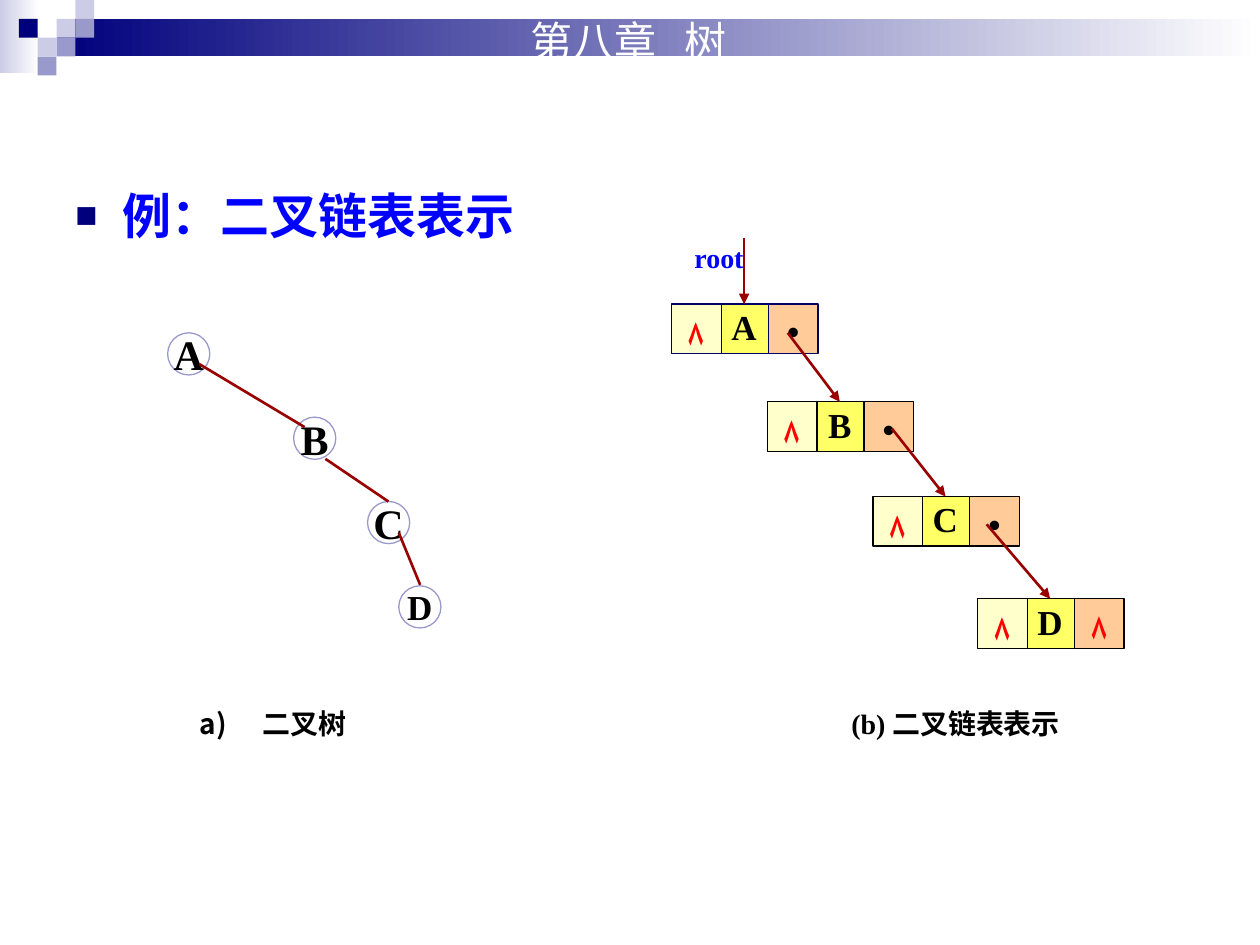
"""Build a slide showing a right-leaning binary tree and its linked-list storage."""
from dataclasses import dataclass

from lxml.etree import SubElement
from pptx import Presentation
from pptx.dml.color import RGBColor
from pptx.enum.shapes import MSO_CONNECTOR, MSO_SHAPE
from pptx.enum.text import MSO_ANCHOR, MSO_AUTO_SIZE, PP_ALIGN
from pptx.oxml import parse_xml
from pptx.oxml.ns import nsdecls, qn
from pptx.util import Cm, Pt


@dataclass(frozen=True)
class Theme:
    navy: str = "00007D"
    lilac: str = "9999CC"
    mist: str = "CCCCE6"
    white: str = "FFFFFF"
    black: str = "000000"
    blue: str = "0000FF"
    red: str = "FF0000"
    link: str = "990000"
    outline: str = "000066"
    left_cell: str = "FFFFCC"
    data_cell: str = "FFFF66"
    right_cell: str = "FFCC99"
    heading: int = 28
    title: int = 24
    cell: int = 20
    caption: int = 16
    serif: str = "Times New Roman"
    sans: str = "Arial"
    cjk: str = "Noto Sans CJK SC"


theme = Theme()
rgb = RGBColor.from_string


def write(sp, text, size, color=theme.black, font=theme.serif, bold=True,
          align=PP_ALIGN.CENTER, anchor=MSO_ANCHOR.TOP, wrap=True,
          left=0.25, top=0.13, hanging=0, marks=""):
    tf = sp.text_frame
    tf.auto_size, tf.word_wrap, tf.vertical_anchor = MSO_AUTO_SIZE.NONE, wrap, anchor
    tf.margin_left, tf.margin_top = Cm(left), Cm(top)
    tf.margin_right, tf.margin_bottom = Cm(0.25), Cm(0.13)
    p = tf.paragraphs[0]
    pPr = p._p.get_or_add_pPr()
    for el in list(parse_xml(f"<a:pPr {nsdecls('a')}>{marks}</a:pPr>")):
        pPr.append(el)
    if hanging:
        pPr.set("marL", str(Cm(hanging)))
        pPr.set("indent", str(-Cm(hanging)))
    p.alignment, p.space_before = align, Pt(0)
    r = p.add_run()
    r.text = text
    r.font.size, r.font.bold, r.font.name = Pt(size), bold, font
    r.font.color.rgb = rgb(color)
    for tag, face in (("a:ea", theme.cjk), ("a:cs", font)):
        SubElement(r._r.rPr, qn(tag)).set("typeface", face)


def link(x1, y1, x2, y2, target=None):
    cxn = s.shapes.add_connector(MSO_CONNECTOR.STRAIGHT, Cm(x1), Cm(y1), Cm(x2), Cm(y2))
    cxn.line.color.rgb, cxn.line.width = rgb(theme.link), Pt(1.5)
    if target is not None:
        cxn.end_connect(target, 0)
        SubElement(cxn.line._get_or_add_ln(), qn("a:tailEnd")).set("type", "triangle")
    SubElement(cxn._element.spPr, qn("a:effectLst"))


prs = Presentation()
prs.slide_width, prs.slide_height = Cm(25.4), Cm(19.05)
s = prs.slides.add_slide(prs.slide_layouts[1])
title, body = s.placeholders[0], s.placeholders[1]

bands = [(0, 0, 0.79, 1.47, theme.mist), (1.14, 0.38, 24.26, 0.76, theme.navy)]
for x, y, w, h, color in bands:
    sp = s.shapes.add_shape(MSO_SHAPE.RECTANGLE, Cm(x), Cm(y), Cm(w), Cm(h))
    sp.shadow.inherit = False
    sp.line.fill.background()
    sp.fill.gradient()
    sp.fill.gradient_angle = 0
    for stop, tone, position in zip(sp.fill.gradient_stops, (color, theme.white), (0, 1)):
        stop.color.rgb, stop.position = rgb(tone), position

tile = 0.38
tiles = [(3, 1, theme.mist), (4, 0, theme.mist), (4, 1, theme.lilac),
         (2, 2, theme.mist), (1, 1, theme.navy), (3, 2, theme.lilac),
         (2, 3, theme.lilac)]
for col, row, color in tiles:
    sp = s.shapes.add_shape(MSO_SHAPE.RECTANGLE, Cm(col * tile), Cm(row * tile),
                            Cm(tile), Cm(tile))
    sp.shadow.inherit = False
    sp.line.fill.background()
    sp.fill.solid()
    sp.fill.fore_color.rgb = rgb(color)

title.left, title.top, title.width, title.height = Cm(10.44), Cm(0.18), Cm(6.15), Cm(1.27)
write(title, "第八章\t树", theme.title, theme.white, theme.cjk, bold=False,
      align=PP_ALIGN.LEFT,
      marks=f'<a:tabLst><a:tab pos="{Cm(3.1)}" algn="l"/></a:tabLst>')
s.shapes._spTree.append(title._element)

body.left, body.top, body.width, body.height = Cm(1.27), Cm(3.61), Cm(22.86), Cm(13.54)
write(body, "例：二叉链表表示", theme.heading, theme.blue, theme.sans,
      align=PP_ALIGN.LEFT, hanging=0.95,
      marks=f'<a:buClr><a:srgbClr val="{theme.navy}"/></a:buClr><a:buSzPct val="75000"/>'
            f'<a:buFont typeface="{theme.sans}"/><a:buChar char="■"/>')

numbering = (f'<a:buClr><a:srgbClr val="{theme.black}"/></a:buClr>'
             f'<a:buFont typeface="{theme.cjk}"/><a:buAutoNum type="alphaLcParenR"/>')
labels = [("二叉树", 3.18, 14.12, 4.65, theme.black, 1.27, numbering),
          ("(b) 二叉链表表示", 16.51, 14.12, 5.51, theme.black, 0, ""),
          ("root", 13.54, 4.72, 1.91, theme.blue, 0, "")]
for text, x, y, w, color, hanging, marks in labels:
    sp = s.shapes.add_textbox(Cm(x), Cm(y), Cm(w), Cm(0.94))
    write(sp, text, theme.caption, color, hanging=hanging, marks=marks)

node, node_top, node_step = 0.85, 6.71, 1.7
nodes = [("A", 3.38, theme.title), ("B", 5.92, theme.title),
         ("C", 7.41, theme.title), ("D", 8.04, theme.cell)]
for i, (text, x, size) in enumerate(nodes):
    sp = s.shapes.add_shape(MSO_SHAPE.OVAL, Cm(x), Cm(node_top + i * node_step),
                            Cm(node), Cm(node))
    sp.shadow.inherit = False
    sp.fill.solid()
    sp.fill.fore_color.rgb = rgb(theme.white)
    sp.line.color.rgb, sp.line.width = rgb(theme.lilac), Pt(0.75)
    write(sp, text, size, anchor=MSO_ANCHOR.MIDDLE, wrap=False)

edges = [(4.02, 7.34, 6.14, 8.61), (6.56, 9.25, 7.83, 10.11), (8.04, 10.74, 8.47, 11.79)]
for edge in edges:
    link(*edge)

cell = 1.0
records = [("A", 13.54, 6.13, theme.outline), ("B", 15.47, 8.1, theme.black),
           ("C", 17.6, 10.01, theme.black), ("D", 19.71, 12.07, theme.black)]
data_cells = []
for text, x, y, outline in records:
    right = ("۸", theme.red) if text == "D" else ("•", theme.black)
    parts = [(text, theme.black, theme.data_cell, 0.96, 0.25, 0.03),
             (*right, theme.right_cell, 1.95, 0.25, 0.2),
             ("۸ ", theme.red, theme.left_cell, 0, 0.41, 0.25)]
    for mark, color, fill, dx, left, top in parts:
        sp = s.shapes.add_shape(MSO_SHAPE.RECTANGLE, Cm(x + dx), Cm(y), Cm(cell), Cm(cell))
        sp.shadow.inherit = False
        sp.fill.solid()
        sp.fill.fore_color.rgb = rgb(fill)
        sp.line.color.rgb, sp.line.width = rgb(outline), Pt(0.75)
        write(sp, mark, theme.cell, color, anchor=MSO_ANCHOR.MIDDLE, wrap=False,
              left=left, top=top)
        if fill == theme.data_cell:
            data_cells.append(sp)

starts = [(15.0, 4.8), (15.88, 6.71), (17.98, 8.64), (19.89, 10.57)]
for (x, y), (_, left, top, _), target in zip(starts, records, data_cells):
    link(x, y, left + 0.96 + cell / 2, top, target)

prs.save("out.pptx")
